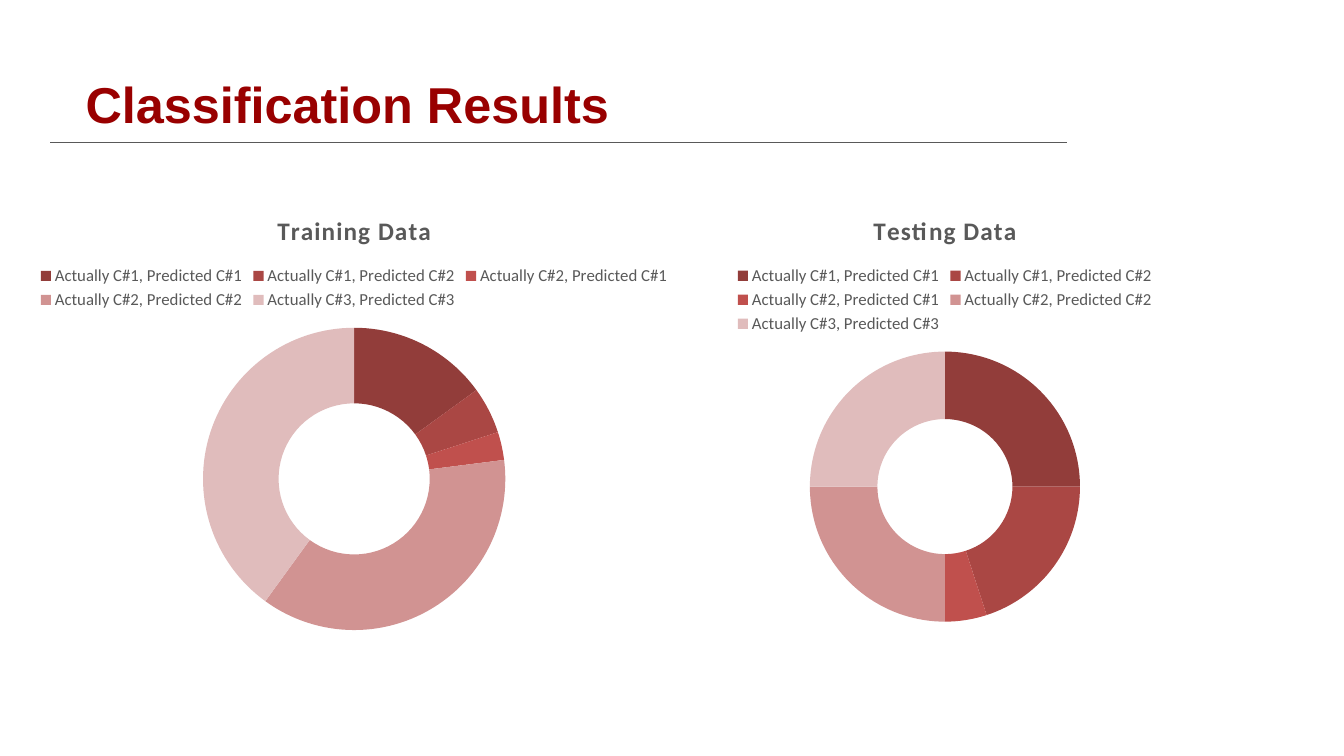
import pptx
import pptx.chart.data
import pptx.dml.color
import pptx.enum.chart
import pptx.enum.shapes
import pptx.enum.text
import pptx.oxml
import pptx.util

Pt = pptx.util.Pt
CASES = [
    "Actually C#1, Predicted C#1",
    "Actually C#1, Predicted C#2",
    "Actually C#2, Predicted C#1",
    "Actually C#2, Predicted C#2",
    "Actually C#3, Predicted C#3",
]
SHADES = ["923D3A", "AA4744", "C0504D", "D19392", "E0BCBC"]
GREY = "595959"


def color(code):
    return pptx.dml.color.RGBColor.from_string(code)


def style(font, name, size, code, bold=False):
    font.name = name
    font.size = Pt(size)
    font.bold = bold
    font.color.rgb = color(code)


def add_title(slide, text):
    box = slide.shapes.add_textbox(Pt(54), Pt(34), Pt(744), Pt(79))
    frame = box.text_frame
    frame.word_wrap = True
    frame.vertical_anchor = pptx.enum.text.MSO_ANCHOR.MIDDLE
    frame.text = text
    style(frame.paragraphs[0].runs[0].font, "Arial", 36, "990000", True)


def add_rule(slide):
    line = slide.shapes.add_connector(
        pptx.enum.shapes.MSO_CONNECTOR.STRAIGHT, Pt(36), Pt(102), Pt(762), Pt(102))
    line.line.color.rgb = color(GREY)
    line.line.width = Pt(0.75)
    props = line.element.spPr
    props.append(props.makeelement(pptx.oxml.ns.qn("a:effectLst"), {}))


def add_ring(slide, title, values, left, width, height):
    data = pptx.chart.data.CategoryChartData()
    data.categories = CASES
    data.add_series("Series 1", values)
    chart = slide.shapes.add_chart(
        pptx.enum.chart.XL_CHART_TYPE.DOUGHNUT,
        Pt(left), Pt(139), Pt(width), Pt(height), data).chart
    style(chart.font, "Calibri", 10, "000000")

    chart.has_title = True
    frame = chart.chart_title.text_frame
    frame.text = title
    head = frame.paragraphs[0]
    head.space_after = Pt(12)
    run = head.runs[0]
    style(run.font, "Calibri", 18, GREY, True)
    run.font._element.set("spc", "80")
    chart.chart_title.include_in_layout = False

    chart.has_legend = True
    chart.legend.position = pptx.enum.chart.XL_LEGEND_POSITION.TOP
    chart.legend.include_in_layout = False
    style(chart.legend.font, "Calibri", 12, GREY)

    plot = chart.plots[0]
    plot.vary_by_categories = True
    for index, shade in enumerate(SHADES):
        fill = plot.series[0].points[index].format.fill
        fill.solid()
        fill.fore_color.rgb = color(shade)


def main():
    deck = pptx.Presentation()
    deck.slide_width = Pt(960)
    deck.slide_height = Pt(540)
    slide = deck.slides.add_slide(deck.slide_layouts[6])
    add_title(slide, "Classification Results")
    add_rule(slide)
    add_ring(slide, "Training Data", [15, 5, 3, 37, 40], 18, 470, 321)
    add_ring(slide, "Testing Data", [25, 20, 5, 25, 25], 444, 462, 315)
    deck.save("out.pptx")


if __name__ == "__main__":
    main()
